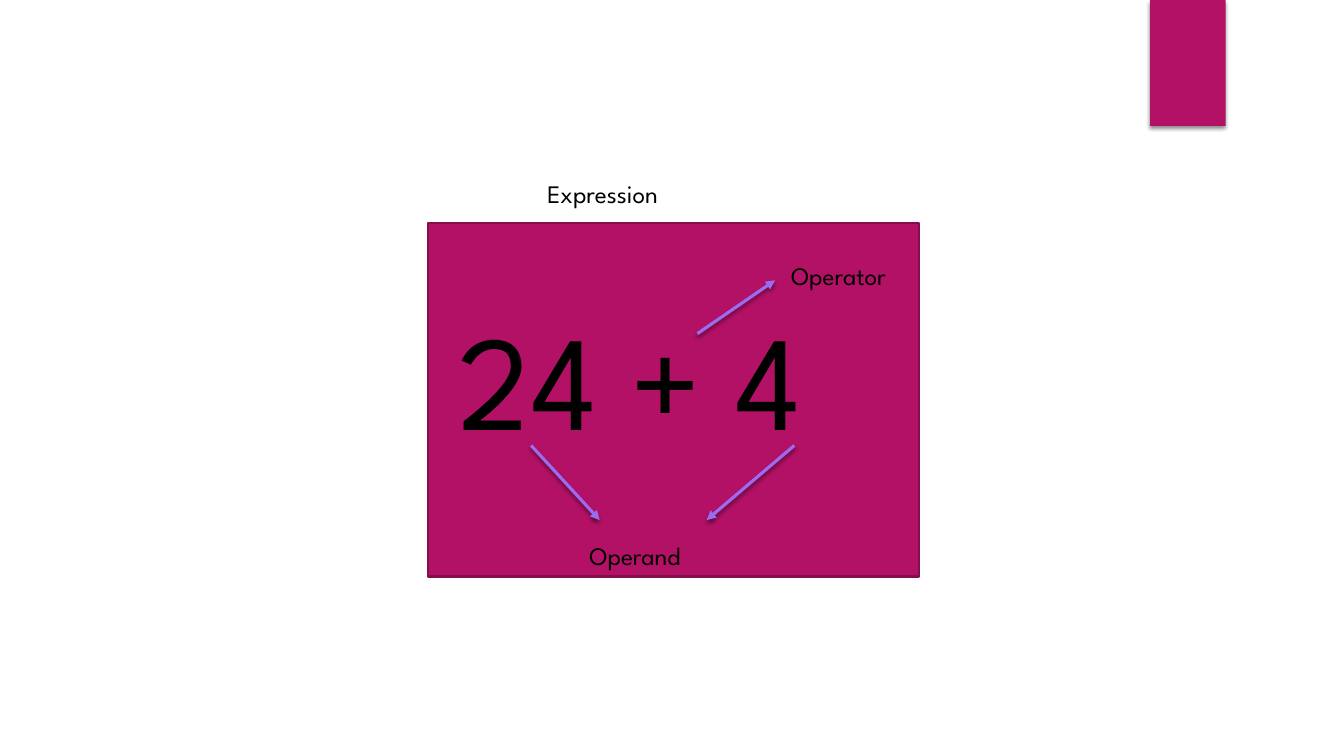
from pptx import Presentation
from pptx.dml.color import RGBColor
from pptx.enum.shapes import MSO_CONNECTOR as Link, MSO_SHAPE as Form
from pptx.enum.text import MSO_AUTO_SIZE as Fit
from pptx.oxml import parse_xml
from pptx.oxml.ns import nsdecls
from pptx.util import Pt

BLACK = RGBColor(0x00, 0x00, 0x00)
PINK = RGBColor(0xB3, 0x11, 0x66)
PLUM = RGBColor(0x84, 0x0D, 0x4B)
VIOLET = RGBColor(0x9B, 0x6B, 0xF2)


class Board:
    font = "League Spartan"

    def __init__(self, slide):
        self.slide = slide
        self.shapes = slide.shapes

    def shade(self, shape):
        """Add a soft shadow straight below; call after the line is set."""
        shape._element.spPr.append(parse_xml(
            f'<a:effectLst {nsdecls("a")}>'
            f'<a:outerShdw blurRad="{Pt(3)}" dist="{Pt(2)}" dir="5400000" rotWithShape="0">'
            '<a:srgbClr val="000000"><a:alpha val="45000"/></a:srgbClr>'
            '</a:outerShdw></a:effectLst>'))

    def box(self, x, y, w, h, edge=None, shadow=False):
        rect = self.shapes.add_shape(Form.RECTANGLE, Pt(x), Pt(y), Pt(w), Pt(h))
        rect.fill.solid()
        rect.fill.fore_color.rgb = PINK
        if edge is None:
            rect.line.fill.background()
        else:
            rect.line.color.rgb = edge
            rect.line.width = Pt(1.5)
        if shadow:
            self.shade(rect)
        else:
            rect.shadow.inherit = False

    def text(self, words, x, y, w, h, size=18):
        frame = self.shapes.add_textbox(Pt(x), Pt(y), Pt(w), Pt(h)).text_frame
        frame.word_wrap = True
        frame.auto_size = Fit.SHAPE_TO_FIT_TEXT
        run = frame.paragraphs[0].add_run()
        run.text = words
        run.font.name = self.font
        run.font.size = Pt(size)
        run.font.color.rgb = BLACK

    def arrow(self, x1, y1, x2, y2):
        link = self.shapes.add_connector(Link.STRAIGHT, Pt(x1), Pt(y1), Pt(x2), Pt(y2))
        link.line.color.rgb = VIOLET
        link.line.width = Pt(2.25)
        link.line._get_or_add_ln().append(
            parse_xml(f'<a:tailEnd {nsdecls("a")} type="triangle"/>'))
        self.shade(link)


def main():
    deck = Presentation()
    deck.slide_width, deck.slide_height = Pt(960), Pt(540)
    board = Board(deck.slides.add_slide(deck.slide_layouts[6]))

    board.box(821.5, 0, 54, 90, shadow=True)
    board.box(306, 159.1, 350.6, 252.7, edge=PLUM)
    board.text("24 + 4", 320.4, 208.1, 318.2, 123.8, size=96)
    board.text("Operand", 414, 382.3, 131.8, 28.8)
    for ends in ((379.4, 318.2, 428.4, 371.5),
                 (567.4, 318.2, 504.7, 371.5),
                 (498.2, 238.3, 553.7, 200.2)):
        board.arrow(*ends)
    board.text("Operator", 558, 182.2, 162.7, 28.8)
    board.text("Expression", 383.8, 123.8, 193, 28.8)

    deck.save("out.pptx")


if __name__ == "__main__":
    main()
